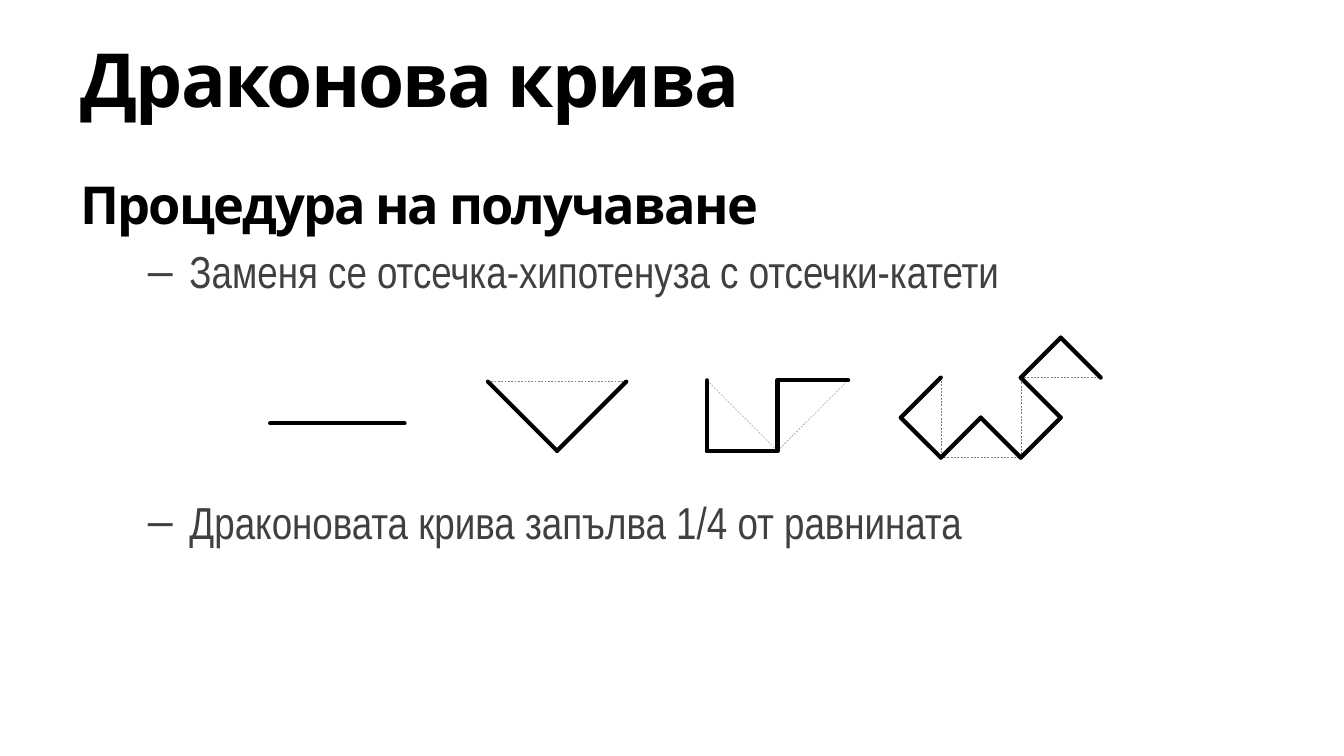
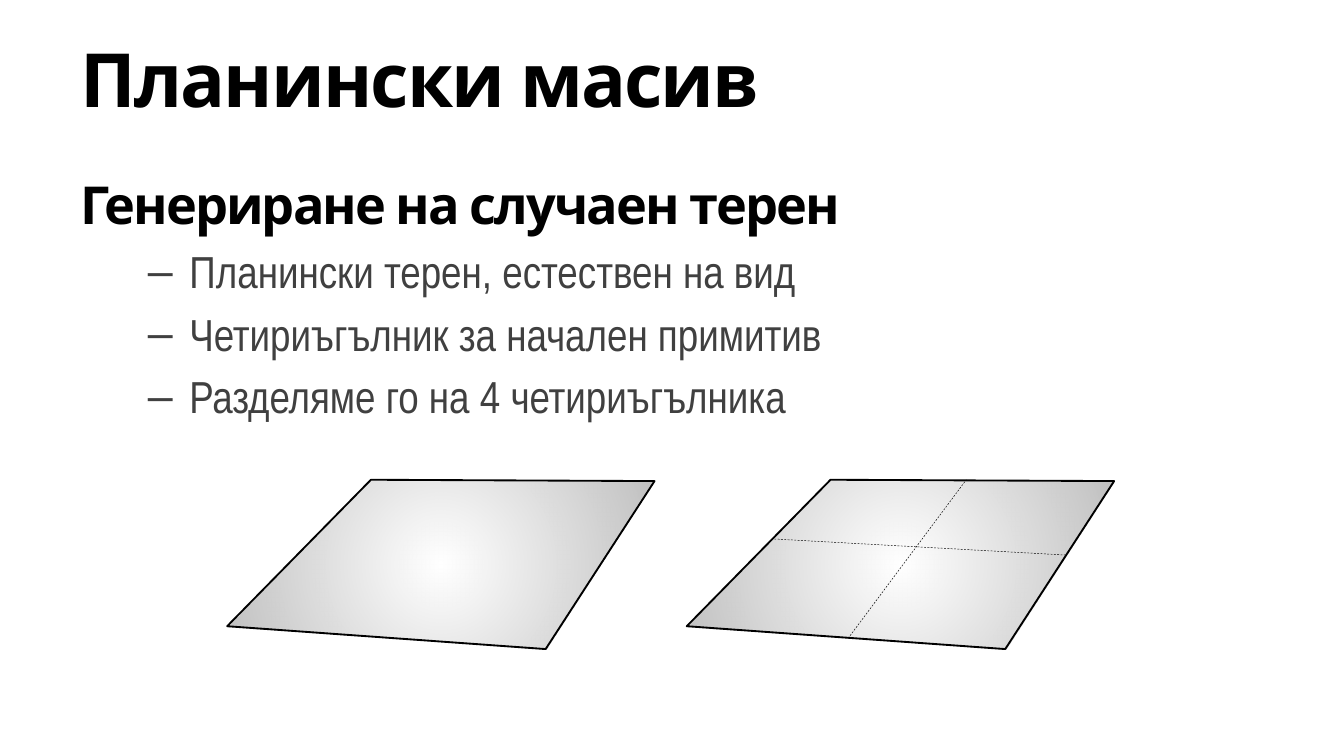
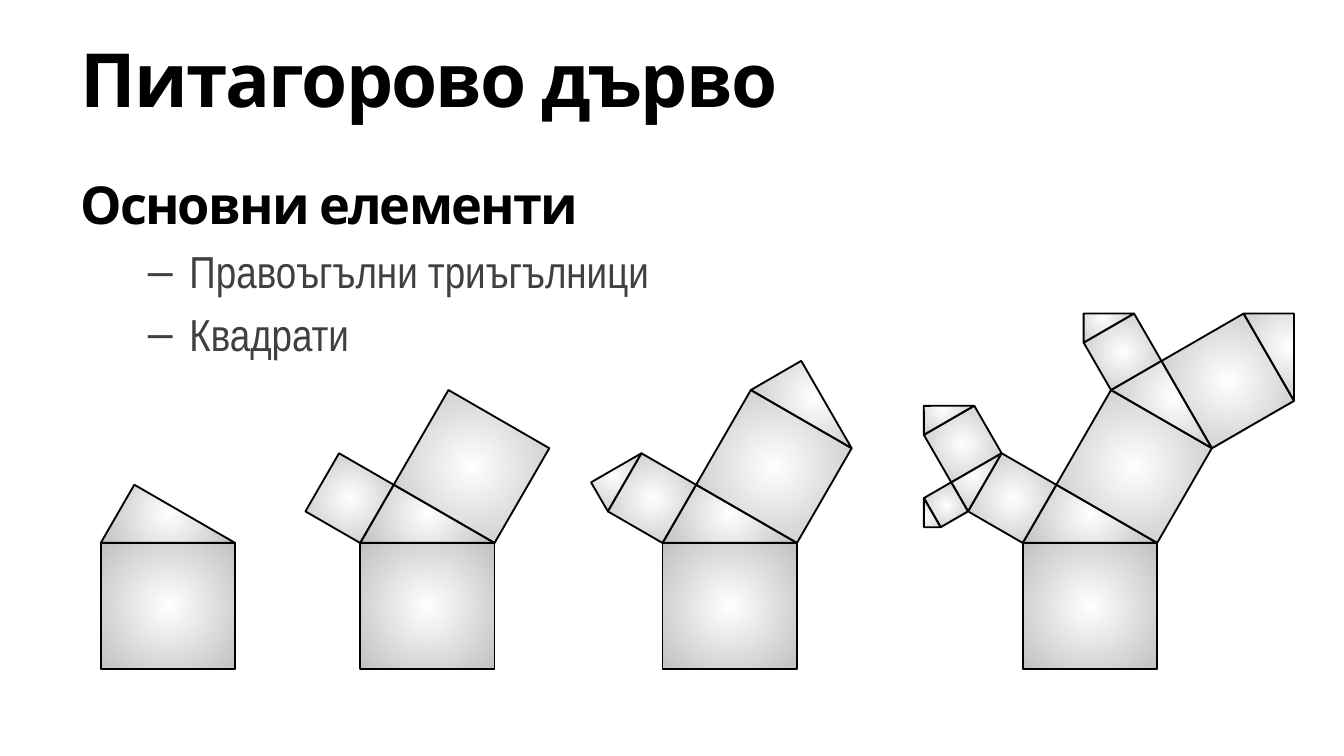
"""Build three slides on fractals: dragon curve, mountain terrain and Pythagoras tree."""
from itertools import pairwise
from math import cos, radians, sin

from lxml import etree
from pptx import Presentation
from pptx import util as u
from pptx.dml.color import RGBColor
from pptx.enum import dml, shapes, text
from pptx.oxml import parse_xml
from pptx.oxml.ns import nsdecls, qn

BLACK = RGBColor(0x00, 0x00, 0x00)
GRAY = RGBColor(0x80, 0x80, 0x80)
DARK = RGBColor(0x40, 0x40, 0x40)
HEAD_FONT, LIST_FONT = "Karla", "Arial Narrow"
WIDTH = 10
HEIGHT = WIDTH * 9 / 16
TITLE_AREA = (0.5, 0.15, 9.5, 0.85)
BODY_AREA = (0.5, 1.23, 9.5, 4.25)
BULLET_GAP, FIGURE_GAP = 4.8, 105.4

DRAGON = ("Драконова крива", "Процедура на получаване", [
    ("Заменя се отсечка-хипотенуза с отсечки-катети", BULLET_GAP),
    ("Драконовата крива запълва 1/4 от равнината", FIGURE_GAP)])
TERRAIN = ("Планински масив", "Генериране на случаен терен", [
    ("Планински терен, естествен на вид", BULLET_GAP),
    ("Четириъгълник за начален примитив", BULLET_GAP),
    ("Разделяме го на 4 четириъгълника", BULLET_GAP)])
TREE = ("Питагорово дърво", "Основни елементи", [
    ("Правоъгълни триъгълници", BULLET_GAP),
    ("Квадрати", BULLET_GAP)])

DRAGON_STAGES = [(2.01, 3.15, 1.0), (3.63, 2.84, 1.03), (5.26, 2.83, 1.05), (7.0, 2.81, 1.19)]
QUAD = [(1.69, 4.66), (2.76, 3.57), (4.87, 3.58), (4.06, 4.83)]
QUAD_STEP = 3.42
QUAD_CUTS = [((7.93, 4.13), (5.75, 4.01)), ((6.31, 4.75), (7.19, 3.57))]

TREE_BASE = 4.98
TREE_STAGES = [(0.75, 1, 1), (2.68, 2, 1), (4.93, 2, 2), (7.61, 3, 3)]
LEFT_TURN, RIGHT_TURN = -60, 30
LEFT_LEG, RIGHT_LEG = sin(radians(30)), cos(radians(30))
SIDE = 0.94
APEX = (LEFT_LEG ** 2, SIDE + LEFT_LEG * RIGHT_LEG)
SQUARE = [(0, 0), (0, SIDE), (1, SIDE), (1, 0)]
TRIANGLE = [(0, SIDE), APEX, (1, SIDE)]

GLOW = f"""<a:gradFill {nsdecls("a")} rotWithShape="1"><a:gsLst>
<a:gs pos="0"><a:srgbClr val="FFFFFF"><a:alpha val="48000"/></a:srgbClr></a:gs>
<a:gs pos="100000"><a:srgbClr val="{GRAY}"><a:alpha val="50000"/></a:srgbClr></a:gs></a:gsLst>
<a:path path="circle"><a:fillToRect l="50000" t="50000" r="50000" b="50000"/></a:path>
</a:gradFill>"""


def place(box, area):
    box.left, box.top, box.width, box.height = map(u.Inches, area)
    box.text_frame.auto_size = text.MSO_AUTO_SIZE.NONE


def write(para, words, font, size, color, bold, spacing=0):
    para.alignment = text.PP_ALIGN.LEFT
    span = para.add_run()
    span.text = words
    span.font.name, span.font.size, span.font.bold = font, u.Pt(size), bold
    span.font.color.rgb = color
    span.font._element.set("spc", str(spacing))


def indent(para, margin, hang, bullet=None):
    props = para._p.get_or_add_pPr()
    props.set("marL", str(u.Inches(margin)))
    props.set("indent", str(-u.Inches(hang)))
    mark = etree.SubElement(props, qn("a:buChar" if bullet else "a:buNone"))
    if bullet:
        mark.set("char", bullet)


def add_page(deck, content):
    title, heading, bullets = content
    page = deck.slides.add_slide(deck.slide_layouts[1])
    head, body = page.placeholders
    place(head, TITLE_AREA)
    head.text_frame.vertical_anchor = text.MSO_ANCHOR.MIDDLE
    write(head.text_frame.paragraphs[0], title, HEAD_FONT, 40, BLACK, True, -100)
    place(body, BODY_AREA)
    para = body.text_frame.paragraphs[0]
    para.space_before = u.Pt(0)
    indent(para, 0.38, 0.38)
    write(para, heading, HEAD_FONT, 28, BLACK, True, -100)
    for words, gap in bullets:
        para = body.text_frame.add_paragraph()
        para.level = 1
        para.space_before = u.Pt(gap)
        indent(para, 0.81, 0.31, "–")
        write(para, words, LIST_FONT, 24, DARK, False)
    return page


def add_line(page, start, end, color, weight, dashed=False):
    ends = [u.Inches(v) for v in (*start, *end)]
    line = page.shapes.add_connector(shapes.MSO_CONNECTOR.STRAIGHT, *ends)
    line.line.color.rgb, line.line.width = color, u.Pt(weight)
    if dashed:
        line.line.dash_style = dml.MSO_LINE.DASH
    props = line._element.spPr
    props.find(qn("a:ln")).set("cap", "flat" if dashed else "rnd")
    etree.SubElement(props, qn("a:effectLst"))


def add_polygon(page, points, turn=0):
    corners = [(u.Inches(x), u.Inches(y)) for x, y in points]
    builder = page.shapes.build_freeform(*corners[0])
    builder.add_line_segments(corners[1:], close=True)
    polygon = builder.convert_to_shape()
    polygon.rotation = turn % 360
    polygon.shadow.inherit = False
    polygon.line.color.rgb, polygon.line.width = BLACK, u.Pt(1)
    polygon.fill.background()
    props = polygon._element.spPr
    props.replace(props.find(qn("a:noFill")), parse_xml(GLOW))


def fold(curve):
    """Replace each segment by two legs, on alternating sides."""
    folded = [curve[0]]
    for index, ((x1, y1), (x2, y2)) in enumerate(pairwise(curve)):
        side = -1 if index % 2 else 1
        apex = ((x1 + x2 - side * (y2 - y1)) / 2, (y1 + y2 + side * (x2 - x1)) / 2)
        folded += [apex, (x2, y2)]
    return folded


def draw_dragons(page):
    for folds, (x, y, width) in enumerate(DRAGON_STAGES):
        previous, curve = [], [(x, y), (x + width, y)]
        for _ in range(folds):
            previous, curve = curve, fold(curve)
        for start, end in pairwise(previous):
            add_line(page, start, end, GRAY, 0.25, dashed=True)
        for start, end in pairwise(curve):
            add_line(page, start, end, BLACK, 2.25)


def draw_terrain(page):
    for shift in (0, QUAD_STEP):
        add_polygon(page, [(x + shift, y) for x, y in QUAD])
    for start, end in QUAD_CUTS:
        add_line(page, start, end, BLACK, 0.25, dashed=True)


def draw_branch(page, x, y, width, turn, squares, triangles):
    """Draw a square and its triangle, then the branches on both legs."""
    def turned(along, up):
        run, rise, angle = along * width, up * width, radians(turn)
        return (x + run * cos(angle) + rise * sin(angle),
                y + run * sin(angle) - rise * cos(angle))

    for outline, levels in ((SQUARE, squares), (TRIANGLE, triangles)):
        if levels:
            heights = [up for _, up in outline]
            middle = (min(heights) + max(heights)) / 2
            cx, cy = turned(0.5, middle)
            add_polygon(page, [(cx + (along - 0.5) * width, cy - (up - middle) * width)
                               for along, up in outline], turn)
    if squares > 1:
        for foot, leg, bend in ((APEX, RIGHT_LEG, RIGHT_TURN), ((0, SIDE), LEFT_LEG, LEFT_TURN)):
            draw_branch(page, *turned(*foot), width * leg, turn + bend,
                        squares - 1, triangles - 1)


def draw_trees(page):
    for x, squares, triangles in TREE_STAGES:
        draw_branch(page, x, TREE_BASE, 1, 0, squares, triangles)


def main():
    deck = Presentation()
    deck.slide_width, deck.slide_height = u.Inches(WIDTH), u.Inches(HEIGHT)
    for content, draw in ((DRAGON, draw_dragons), (TERRAIN, draw_terrain), (TREE, draw_trees)):
        draw(add_page(deck, content))
    deck.save("out.pptx")


if __name__ == "__main__":
    main()
